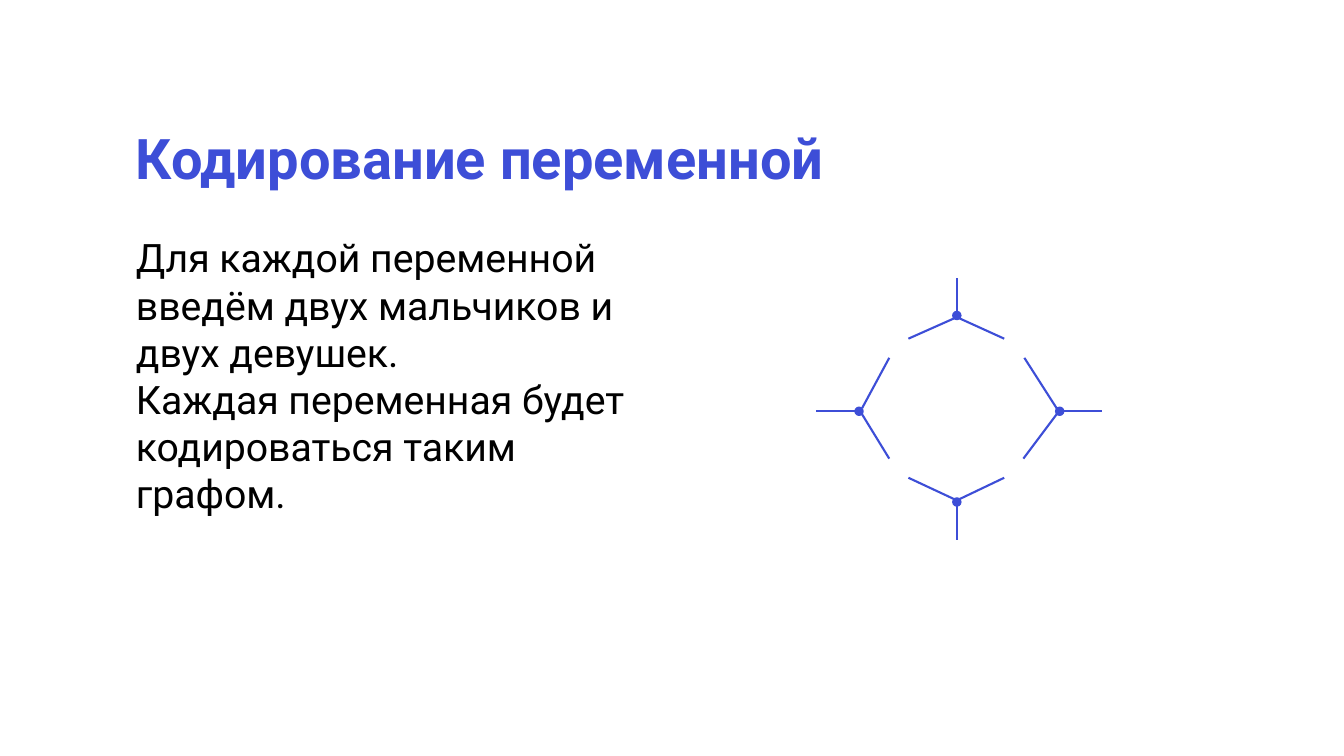
from lxml.etree import SubElement
from pptx import Presentation
from pptx.dml.color import RGBColor
from pptx.enum.shapes import MSO_CONNECTOR, MSO_SHAPE
from pptx.enum.text import MSO_ANCHOR
from pptx.oxml.ns import qn
from pptx.util import Pt

PX = 9144  # EMU, 100 px to the inch
BLUE = RGBColor(0x3D, 0x4E, 0xD7)
BLACK = RGBColor(0x00, 0x00, 0x00)
FONT = "Roboto"

DOT_RADIUS = 4
BRANCH_GAP = 3
# dot centre, stem end, branch ends
PEOPLE = [
    ((949, 313), (949, 276), [(901, 336), (996, 336)]),
    ((949, 498), (949, 536), [(901, 474), (996, 474)]),
    ((852, 408), (809, 408), [(882, 355), (882, 455)]),
    ((1051, 408), (1093, 408), [(1016, 355), (1015, 455)]),
]


def px(*lengths):
    return [length * PX for length in lengths]


def add_text(slide, box, paragraphs, size, color, bold=False, spacing=None):
    tf = slide.shapes.add_textbox(*px(*box)).text_frame
    tf.word_wrap = True
    tf.vertical_anchor = MSO_ANCHOR.TOP
    for i, text in enumerate(paragraphs):
        p = tf.add_paragraph() if i else tf.paragraphs[0]
        p.text = text
        p.line_spacing = spacing
        p.font.name = FONT
        p.font.size = Pt(size)
        p.font.bold = bold
        p.font.color.rgb = color


def add_dot(shapes, center):
    x, y = center
    size = 2 * DOT_RADIUS
    sp = shapes.add_shape(MSO_SHAPE.OVAL,
                          *px(x - DOT_RADIUS, y - DOT_RADIUS, size, size))
    sp.shadow.inherit = False
    sp.fill.solid()
    sp.fill.fore_color.rgb = BLUE
    sp.line.color.rgb = BLUE
    sp.line.width = Pt(1)


def add_ray(shapes, center, end, gap):
    """Draw a line to end, starting gap px off the centre on each axis."""
    start = [c + gap * ((e > c) - (e < c)) for c, e in zip(center, end)]
    line = shapes.add_connector(MSO_CONNECTOR.STRAIGHT, *px(*start, *end))
    line.line.color.rgb = BLUE
    line.line.width = Pt(1.5)
    SubElement(line._element.spPr, qn("a:effectLst"))


def add_graph(slide):
    shapes = slide.shapes.add_group_shape().shapes
    for center, stem_end, branch_ends in PEOPLE:
        add_dot(shapes, center)
        add_ray(shapes, center, stem_end, DOT_RADIUS)
        for end in branch_ends:
            add_ray(shapes, center, end, BRANCH_GAP)


def main():
    prs = Presentation()
    prs.slide_width, prs.slide_height = px(1333, 750)
    slide = prs.slides.add_slide(prs.slide_layouts[6])
    add_text(slide, (125, 125, 1085, 80), ["Кодирование переменной"],
             40, BLUE, bold=True, spacing=0.9)
    add_text(slide, (125, 227, 542, 246), [
        "Для каждой переменной введём двух мальчиков и двух девушек.",
        "Каждая переменная будет кодироваться таким графом.",
    ], 28, BLACK)
    add_graph(slide)
    prs.save("out.pptx")


if __name__ == "__main__":
    main()
